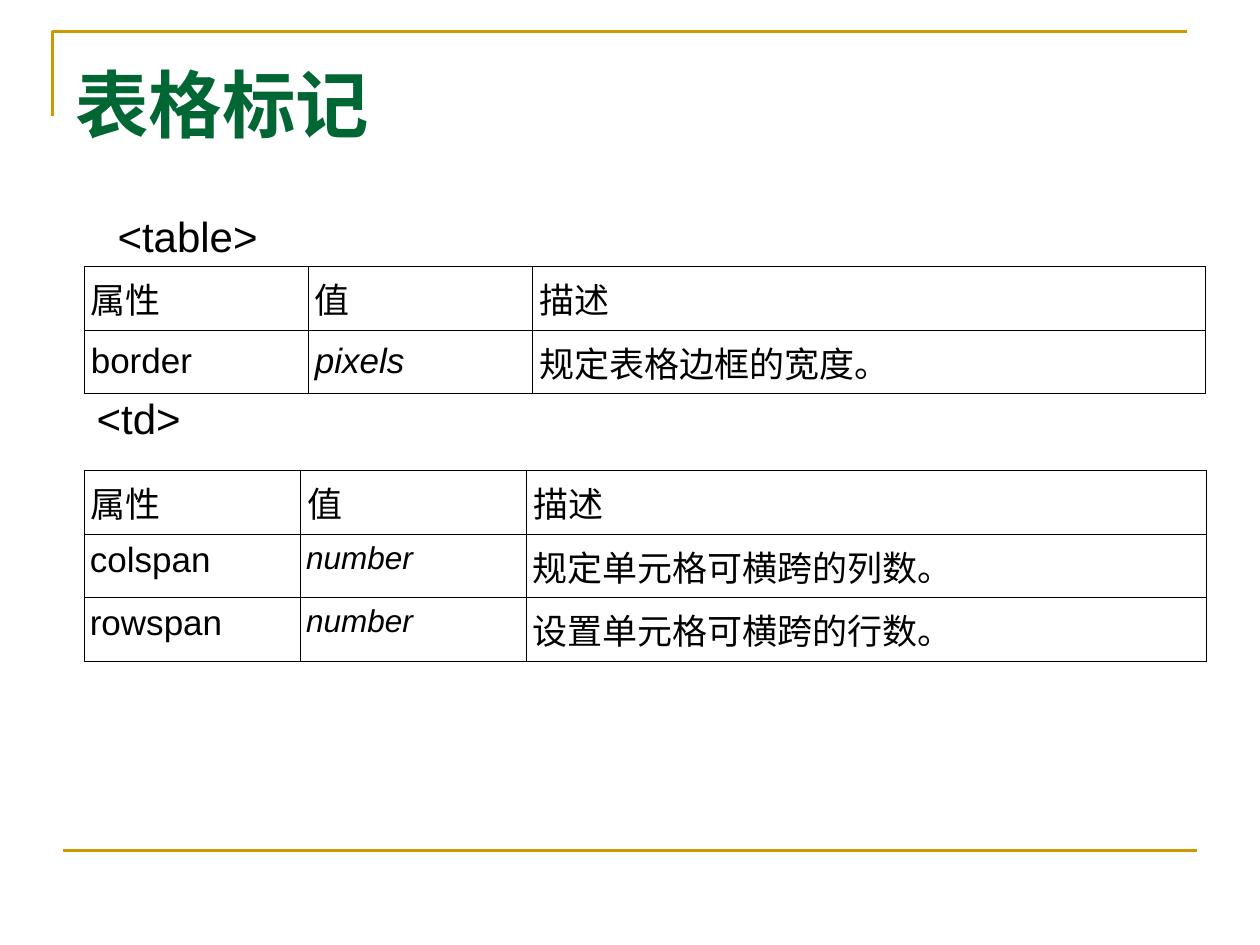
from lxml import etree
from pptx import Presentation
from pptx.dml.color import RGBColor
from pptx.enum.shapes import MSO_CONNECTOR
from pptx.enum.text import MSO_ANCHOR
from pptx.oxml.ns import qn
from pptx.util import Cm, Pt

STRAIGHT = MSO_CONNECTOR.STRAIGHT
TOP, MIDDLE = MSO_ANCHOR.TOP, MSO_ANCHOR.MIDDLE
COLORS = {"gold": "CC9900", "green": "006633", "black": "000000"}
ROW_HEIGHT = 1.28


def write_text(frame, text, size=20, font="Arial", color="black", bold=False, italic=False):
    paragraph = frame.paragraphs[0]
    run = paragraph.add_run()
    run.text = text
    run.font.size = Pt(size)
    run.font.name = font
    run.font.bold = bold
    run.font.italic = italic
    run.font.color.rgb = RGBColor.from_string(COLORS[color])


def add_border(cell):
    properties = cell._tc.get_or_add_tcPr()
    for position, side in enumerate(("lnL", "lnR", "lnT", "lnB")):
        line = etree.Element(qn(f"a:{side}"), w=str(Pt(0.45)))
        fill = etree.SubElement(line, qn("a:solidFill"))
        etree.SubElement(fill, qn("a:srgbClr"), val=COLORS["black"])
        properties.insert(position, line)


presentation = Presentation()
presentation.slide_width = Cm(25.4)
presentation.slide_height = Cm(19.05)
slide = presentation.slides.add_slide(presentation.slide_layouts[6])
shapes = slide.shapes

# Corner frame at the top and rule at the bottom
builder = shapes.build_freeform(Cm(1.06), Cm(2.33))
builder.add_line_segments([(Cm(1.06), Cm(0.64)), (Cm(23.92), Cm(0.64))], close=False)
corner = builder.convert_to_shape()
corner.shadow.inherit = False
corner.fill.background()
rule = shapes.add_connector(STRAIGHT, Cm(1.27), Cm(17.15), Cm(24.13), Cm(17.15))
etree.SubElement(rule._element.spPr, qn("a:effectLst"))
for shape in (corner, rule):
    shape.line.color.rgb = RGBColor.from_string(COLORS["gold"])
    shape.line.width = Pt(1.5)

# Title and table captions: left, top, width, height, text, format
texts = [
    (1.27, 1.06, 22.86, 2.86, "表格标记",
     {"size": 42, "font": "Times New Roman", "color": "green", "bold": True}),
    (2.12, 4.12, 3.6, 1.27, "<table>", {"size": 24}),
    (1.7, 7.78, 3.02, 1.27, "<td>", {"size": 24}),
]
for left, top, width, height, text, text_format in texts:
    box = shapes.add_textbox(Cm(left), Cm(top), Cm(width), Cm(height))
    box.text_frame.word_wrap = True
    write_text(box.text_frame, text, **text_format)

# Attribute tables: top, column widths, body anchor, body side margin,
# size of the values, body rows
header = ("属性", "值", "描述")
tables = [
    (5.37, (4.52, 4.52, 13.57), MIDDLE, 0.13, 20,
     [("border", "pixels", "规定表格边框的宽度。")]),
    (9.49, (4.36, 4.56, 13.69), TOP, 0.11, 18,
     [("colspan", "number", "规定单元格可横跨的列数。"),
      ("rowspan", "number", "设置单元格可横跨的行数。")]),
]
for top, widths, body_anchor, body_margin, value_size, body in tables:
    rows = [header] + body
    table = shapes.add_table(len(rows), len(widths), Cm(1.7), Cm(top),
                             Cm(sum(widths)), Cm(ROW_HEIGHT * len(rows))).table
    for column, width in zip(table.columns, widths):
        column.width = Cm(width)
    for row_index, row in enumerate(rows):
        table.rows[row_index].height = Cm(ROW_HEIGHT)
        for column_index, text in enumerate(row):
            cell = table.cell(row_index, column_index)
            is_value = row_index > 0 and column_index == 1
            cell.vertical_anchor = body_anchor if row_index else MIDDLE
            cell.margin_left = cell.margin_right = Cm(body_margin if row_index else 0.13)
            cell.margin_top = cell.margin_bottom = Cm(0.13)
            cell.fill.background()
            add_border(cell)
            write_text(cell.text_frame, text, size=value_size if is_value else 20,
                       italic=is_value)

presentation.save("out.pptx")
